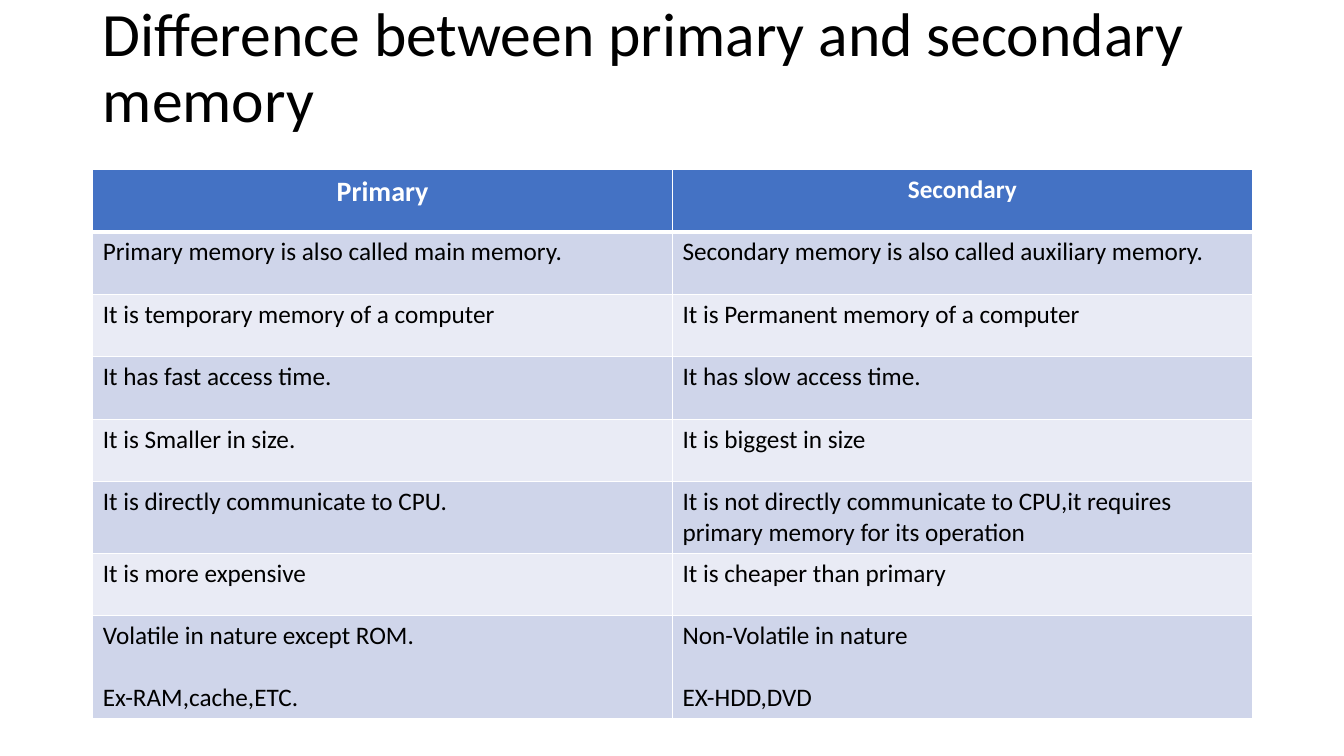
"""Build a slide that compares primary and secondary memory in a table."""
from lxml.etree import SubElement
from pptx import Presentation
from pptx.dml.color import RGBColor
from pptx.enum.text import MSO_ANCHOR, MSO_AUTO_SIZE, PP_ALIGN
from pptx.oxml.ns import qn
from pptx.util import Pt

EMU_PER_PX = 9144
FONT = "Calibri"
COLORS = {
    "text": "000000",
    "header_text": "FFFFFF",
    "border": "FFFFFF",
    "header": "4472C4",
    "odd_row": "CFD5EA",
    "even_row": "E9EBF5",
}
HEADINGS = [("Primary", 20), ("Secondary", 18)]
DIFFERENCES = [
    ("Primary memory is also called main memory.",
     "Secondary memory is also called auxiliary memory."),
    ("It is temporary memory of a computer",
     "It is Permanent memory of a computer"),
    ("It has fast access time.", "It has slow access time."),
    ("It is Smaller in size.", "It is biggest in size"),
    ("It is directly communicate to CPU.",
     "It is not directly communicate to CPU,it requires primary memory for its operation"),
    ("It is more expensive", "It is cheaper than primary"),
    ("Volatile in nature except ROM.\nEx-RAM,cache,ETC.",
     "Non-Volatile in nature\nEX-HDD,DVD"),
]


def px(length):
    return length * EMU_PER_PX


def color(name):
    return RGBColor.from_string(COLORS[name])


def style_paragraph(paragraph, size, color_name, bold=False, align=PP_ALIGN.LEFT):
    paragraph.alignment = align
    paragraph.font.name = FONT
    paragraph.font.size = Pt(size)
    paragraph.font.bold = bold
    paragraph.font.color.rgb = color(color_name)


def add_title(slide, wording):
    title = slide.shapes.title
    title.left, title.top, title.width, title.height = map(px, (92, -47, 1170, 232))
    frame = title.text_frame
    frame.text = wording
    frame.word_wrap = True
    frame.auto_size = MSO_AUTO_SIZE.NONE
    frame.vertical_anchor = MSO_ANCHOR.MIDDLE
    heading = frame.paragraphs[0]
    heading.line_spacing = 0.9
    style_paragraph(heading, 44, "text")


def set_borders(cell, top, bottom):
    properties = cell._tc.get_or_add_tcPr()
    for side, points in (("L", 1), ("R", 1), ("T", top), ("B", bottom)):
        line = SubElement(properties, qn(f"a:ln{side}"), w=str(Pt(points)))
        fill = SubElement(line, qn("a:solidFill"))
        SubElement(fill, qn("a:srgbClr"), val=COLORS["border"])


def fill_cell(cell, wording, fill_name, top=1, bottom=1, **text_style):
    set_borders(cell, top, bottom)
    cell.fill.solid()
    cell.fill.fore_color.rgb = color(fill_name)
    cell.text = wording
    first, *examples = cell.text_frame.paragraphs
    for paragraph in (first, *examples):
        style_paragraph(paragraph, **text_style)
    for example in examples:
        example.space_before = Pt(22)


def add_comparison(slide):
    rows = len(DIFFERENCES) + 1
    comparison = slide.shapes.add_table(
        rows, len(HEADINGS), px(92), px(168), px(1150), px(62 * rows)).table
    for column, (heading, size) in enumerate(HEADINGS):
        fill_cell(comparison.cell(0, column), heading, "header", bottom=3,
                  size=size, color_name="header_text", bold=True, align=PP_ALIGN.CENTER)
    for row, difference in enumerate(DIFFERENCES, 1):
        band = "odd_row" if row % 2 else "even_row"
        for column, wording in enumerate(difference):
            fill_cell(comparison.cell(row, column), wording, band,
                      top=3 if row == 1 else 1, size=18, color_name="text")
    comparison.rows[rows - 1].height = px(102)


def main():
    presentation = Presentation()
    presentation.slide_width, presentation.slide_height = px(1333), px(750)
    slide = presentation.slides.add_slide(presentation.slide_layouts[5])
    add_title(slide, "Difference between primary and secondary memory")
    add_comparison(slide)
    presentation.save("out.pptx")


if __name__ == "__main__":
    main()
